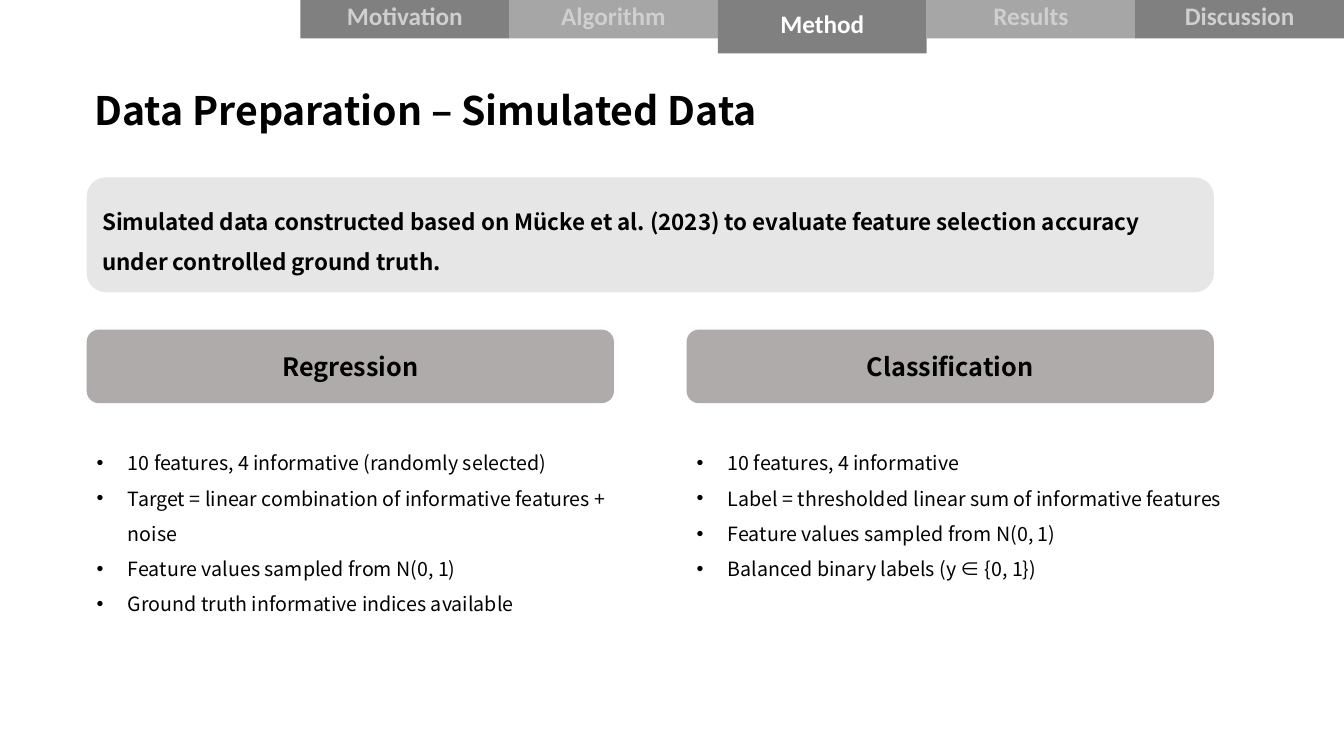
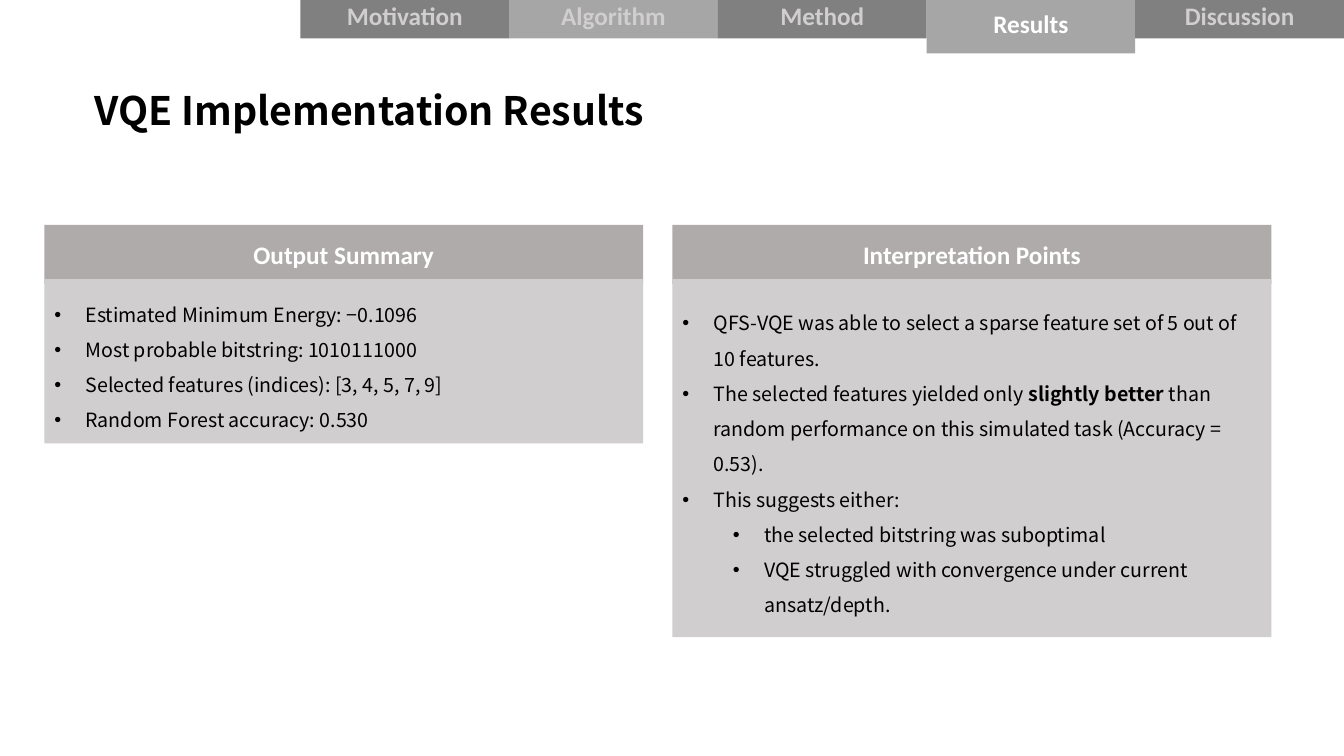
from pptx import Presentation
from pptx.dml.color import RGBColor
from pptx.enum.shapes import MSO_SHAPE
from pptx.enum.text import MSO_ANCHOR, PP_ALIGN
from pptx.oxml.ns import qn
from pptx.util import Inches, Pt
from lxml import etree

RECT = MSO_SHAPE.RECTANGLE
ROUND = MSO_SHAPE.ROUNDED_RECTANGLE
TOP, MIDDLE = MSO_ANCHOR.TOP, MSO_ANCHOR.MIDDLE
LEFT, CENTER = PP_ALIGN.LEFT, PP_ALIGN.CENTER

BLACK = RGBColor(0x00, 0x00, 0x00)
WHITE = RGBColor(0xFF, 0xFF, 0xFF)
DARK = RGBColor(0x80, 0x80, 0x80)
MID = RGBColor(0xA6, 0xA6, 0xA6)
WARM = RGBColor(0xAF, 0xAB, 0xAB)
PALE = RGBColor(0xD0, 0xCE, 0xCE)
LIGHT = RGBColor(0xE7, 0xE6, 0xE6)

NOTO, CALIBRI = "Noto Sans CJK TC", "Calibri"
TITLE = {"name": NOTO, "size": Pt(28), "bold": True}
LEAD = {"name": NOTO, "size": Pt(16), "bold": True}
HEAD = {"name": NOTO, "size": Pt(18), "bold": True}
BODY = {"name": NOTO, "size": Pt(14), "bold": False}
LABEL = {"name": CALIBRI, "size": Pt(18), "bold": True}

TABS = [("Motivation", DARK), ("Algorithm", MID), ("Method", DARK),
        ("Results", MID), ("Discussion", DARK)]


def add_run(para, text, form, color):
    run = para.add_run()
    run.text = text
    for key, value in form.items():
        setattr(run.font, key, value)
    run.font.color.rgb = color


def add_text(shape, text, form, color=BLACK, align=LEFT, anchor=MIDDLE, space=1.0):
    frame = shape.text_frame
    frame.word_wrap = True
    frame.vertical_anchor = anchor
    para = frame.paragraphs[0]
    para.alignment = align
    para.line_spacing = space
    add_run(para, text, form, color)


def add_list(shape, items, anchor):
    frame = shape.text_frame
    frame.word_wrap = True
    frame.vertical_anchor = anchor
    for i, (level, parts) in enumerate(items):
        para = frame.add_paragraph() if i else frame.paragraphs[0]
        para.level = level
        para.alignment = LEFT
        para.line_spacing = 1.5
        props = para._p.get_or_add_pPr()
        props.set("marL", str(Inches(0.31 + 0.5 * level)))
        props.set("indent", str(Inches(-0.31)))
        font = etree.SubElement(props, qn("a:buFont"))
        font.set("typeface", "Arial")
        etree.SubElement(props, qn("a:buChar")).set("char", "•")
        for j, text in enumerate(parts):
            add_run(para, text, {**BODY, "bold": j % 2 == 1}, BLACK)


def add_box(slide, kind, box, fill):
    shape = slide.shapes.add_shape(kind, *map(Inches, box))
    shape.shadow.inherit = False
    shape.fill.solid()
    shape.fill.fore_color.rgb = fill
    shape.line.fill.background()
    return shape


def add_tabs(slide, box, active):
    left, top, width, height = box
    step = width / len(TABS)
    for i, (name, fill) in enumerate(TABS):
        live = name == active
        tall = height + 0.15 if live else height
        tab = add_box(slide, RECT, (left + i * step, top, step, tall), fill)
        add_text(tab, name, LABEL, WHITE if live else PALE, CENTER)


def add_base(deck, title, active):
    slide = deck.slides.add_slide(deck.slide_layouts[6])
    head = slide.shapes.add_textbox(*map(Inches, (0.84, 0.86, 11.5, 0.73)))
    add_text(head, title, TITLE, anchor=TOP, space=0.9)
    add_tabs(slide, (2.98, -0.07, 10.35, 0.45), active)
    return slide


def add_column(slide, box, title, items):
    left, top, width, height = box
    head = add_box(slide, ROUND, (left, top, width, 0.73), WARM)
    add_text(head, title, HEAD, align=CENTER)
    area = (left, top + 1.04, width + 0.29, height - 1.04)
    add_list(slide.shapes.add_textbox(*map(Inches, area)), items, TOP)


def add_panel(slide, box, title, items):
    left, top, width, height = box
    head = add_box(slide, RECT, (left, top, width, 0.59), WARM)
    add_text(head, title, LABEL, WHITE, CENTER)
    area = (left, top + 0.54, width, height - 0.54)
    add_list(add_box(slide, RECT, area, PALE), items, MIDDLE)


def add_data(deck):
    slide = add_base(deck, "Data Preparation – Simulated Data", "Method")
    lead = add_box(slide, ROUND, (0.86, 1.76, 11.18, 1.14), LIGHT)
    add_text(lead, "Simulated data constructed based on Mücke et al. (2023) to evaluate "
             "feature selection accuracy under controlled ground truth.", LEAD, space=1.5)
    add_column(slide, (0.86, 3.27, 5.23, 2.86), "Regression", [
        (0, ["10 features, 4 informative (randomly selected)"]),
        (0, ["Target = linear combination of informative features + noise"]),
        (0, ["Feature values sampled from N(0, 1)"]),
        (0, ["Ground truth informative indices available"]),
    ])
    add_column(slide, (6.81, 3.27, 5.23, 2.52), "Classification", [
        (0, ["10 features, 4 informative"]),
        (0, ["Label = thresholded linear sum of informative features"]),
        (0, ["Feature values sampled from N(0, 1)"]),
        (0, ["Balanced binary labels (y ∈ {0, 1})"]),
    ])


def add_results(deck):
    slide = add_base(deck, "VQE Implementation Results", "Results")
    add_panel(slide, (0.44, 2.23, 5.94, 2.17), "Output Summary", [
        (0, ["Estimated Minimum Energy: −0.1096"]),
        (0, ["Most probable bitstring: 1010111000"]),
        (0, ["Selected features (indices): [3, 4, 5, 7, 9]"]),
        (0, ["Random Forest accuracy: 0.530"]),
    ])
    add_panel(slide, (6.67, 2.23, 5.94, 4.09), "Interpretation Points", [
        (0, ["QFS-VQE was able to select a sparse feature set of 5 out of 10 features."]),
        (0, ["The selected features yielded only ", "slightly better",
             " than random performance on this simulated task (Accuracy = 0.53)."]),
        (0, ["This suggests either:"]),
        (1, ["the selected bitstring was suboptimal"]),
        (1, ["VQE struggled with convergence under current ansatz/depth."]),
    ])


def main():
    deck = Presentation()
    deck.slide_width = Inches(13.33)
    deck.slide_height = Inches(7.5)
    add_data(deck)
    add_results(deck)
    deck.save("out.pptx")


if __name__ == "__main__":
    main()
